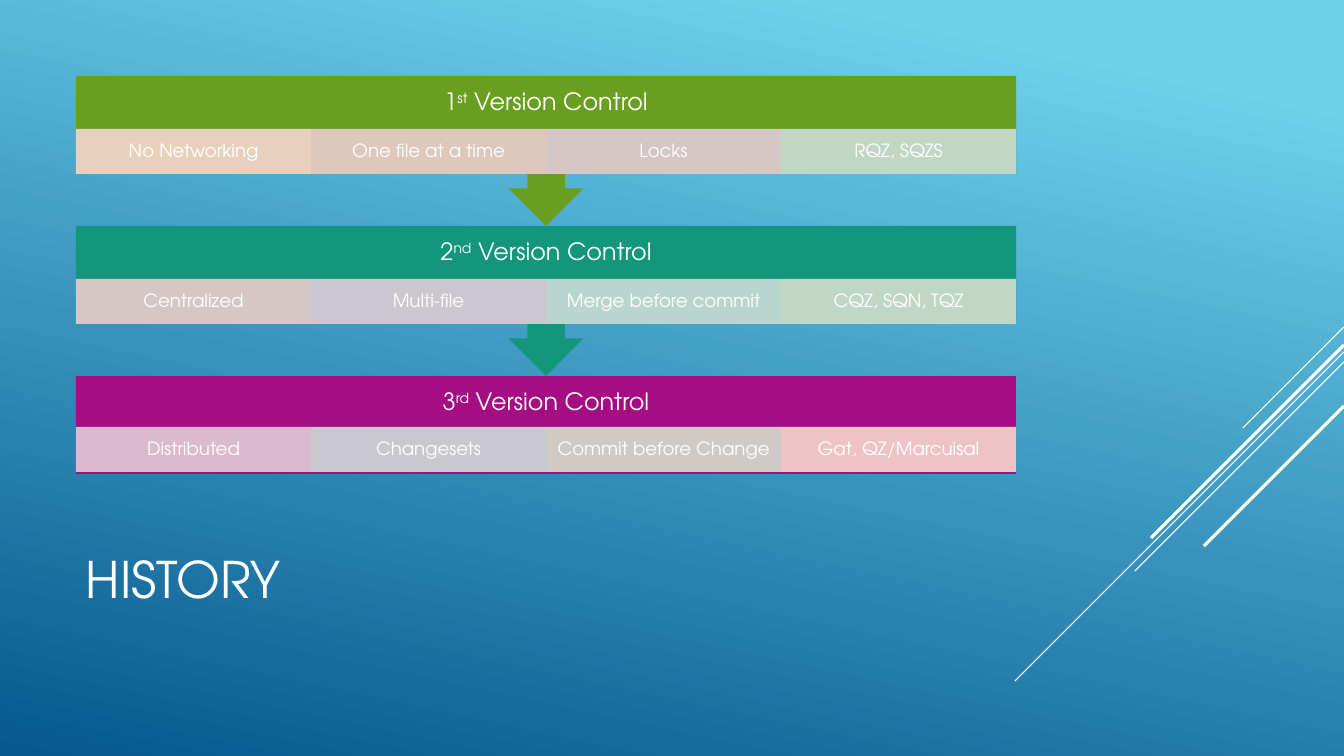
"""Build the version control history slide."""
from dataclasses import dataclass

from lxml import etree
from pptx import Presentation
from pptx.dml.color import RGBColor
from pptx.enum.shapes import MSO_CONNECTOR, MSO_SHAPE
from pptx.enum.text import MSO_ANCHOR, PP_ALIGN
from pptx.oxml.ns import qn
from pptx.util import Emu, Pt

STRAIGHT = MSO_CONNECTOR.STRAIGHT
RECTANGLE = MSO_SHAPE.RECTANGLE
CALLOUT = MSO_SHAPE.DOWN_ARROW_CALLOUT
MIDDLE = MSO_ANCHOR.MIDDLE
LEFT = PP_ALIGN.LEFT
CENTER = PP_ALIGN.CENTER
EMU_PER_PX = 914400 / 100.8


@dataclass(frozen=True)
class Theme:
    font: str = "TeX Gyre Adventor"
    text: str = "FFFFFF"
    sky: str = "6ED2EB"
    deep: str = "06588E"
    bands: tuple = ("6A9E1F", "14967C", "A50E82")
    tints: tuple = ("F6D7CE", "EACDCD", "E1CCD8", "CCDDD7", "D4DFCD")
    title_size: int = 36
    heading_size: int = 17
    cell_size: int = 13


THEME = Theme()
SLIDE_WIDTH, SLIDE_HEIGHT = 1344, 756
BAND_LEFT, BAND_TOP, BAND_WIDTH, BAND_PITCH = 76, 76, 940, 150
LAST_BAND_HEIGHT = 98
HEADING_HEIGHT, CELL_HEIGHT = 53, 45

GENERATIONS = [
    ("1", "st", 53, ["No Networking", "One file at a time", "Locks", "RQZ, SQZS"]),
    ("2", "nd", 53, ["Centralized", "Multi-file", "Merge before commit", "CQZ, SQN, TQZ"]),
    ("3", "rd", 51, ["Distributed", "Changesets", "Commit before Change", "Gat, QZ/Marcuisal"]),
]
DIAGONALS = [(327, 101, 0.75), (352, 329, 0.75), (362, 209, 0.75), (345, 193, 2.25), (406, 140, 2.25)]


def px(*lengths):
    return [Emu(round(length * EMU_PER_PX)) for length in lengths]


def write(box, pieces, size, align, inset_x, inset_y):
    frame = box.text_frame
    frame.word_wrap = True
    frame.vertical_anchor = MIDDLE
    frame.margin_left, frame.margin_right = px(inset_x, inset_x)
    frame.margin_top, frame.margin_bottom = px(inset_y, inset_y)
    para = frame.paragraphs[0]
    para.alignment = align
    para.line_spacing = 0.9
    para.font.name = THEME.font
    para.font.size = Pt(size)
    para.font.color.rgb = RGBColor.from_string(THEME.text)
    for piece in pieces:
        para.add_run().text = piece
    return para


deck = Presentation()
deck.slide_width, deck.slide_height = px(SLIDE_WIDTH, SLIDE_HEIGHT)
page = deck.slides.add_slide(deck.slide_layouts[6])

backdrop = page.background.fill
backdrop.gradient()
backdrop.gradient_angle = 258
for stop, position, colour in zip(backdrop.gradient_stops, (0.1, 1), (THEME.sky, THEME.deep)):
    stop.position = position
    stop.color.rgb = RGBColor.from_string(colour)

for top, reach, weight in DIAGONALS:
    diagonal = page.shapes.add_connector(
        STRAIGHT, *px(SLIDE_WIDTH, top, SLIDE_WIDTH - reach, top + reach))
    diagonal.line.color.rgb = RGBColor.from_string(THEME.text)
    diagonal.line.width = Pt(weight)
    etree.SubElement(diagonal._element.spPr, qn("a:effectLst"))

title = page.shapes.add_textbox(*px(BAND_LEFT, 495, BAND_WIDTH, 166))
write(title, ["HISTORY"], THEME.title_size, LEFT, 10, 5).line_spacing = 1.0

for row, (number, suffix, cell_offset, features) in enumerate(GENERATIONS):
    band_top = BAND_TOP + row * BAND_PITCH
    is_last = row == len(GENERATIONS) - 1
    band = page.shapes.add_shape(
        RECTANGLE if is_last else CALLOUT,
        *px(BAND_LEFT, band_top, BAND_WIDTH, LAST_BAND_HEIGHT if is_last else BAND_PITCH))
    band.shadow.inherit = False
    band.fill.solid()
    band.fill.fore_color.rgb = RGBColor.from_string(THEME.bands[row])
    band.line.fill.background()

    heading = page.shapes.add_textbox(*px(BAND_LEFT, band_top, BAND_WIDTH, HEADING_HEIGHT))
    para = write(heading, [number, suffix, " Version Control"], THEME.heading_size, CENTER, 13, 13)
    para.runs[1]._r.get_or_add_rPr().set("baseline", "30000")

    cell_width = BAND_WIDTH // len(features)
    for column, feature in enumerate(features):
        cell = page.shapes.add_shape(
            RECTANGLE,
            *px(BAND_LEFT + column * cell_width, band_top + cell_offset, cell_width, CELL_HEIGHT))
        cell.shadow.inherit = False
        cell.fill.solid()
        tint = THEME.tints[(row + column) % len(THEME.tints)]
        cell.fill.fore_color.rgb = RGBColor.from_string(tint)
        tint_element = cell._element.spPr.find(qn("a:solidFill")).find(qn("a:srgbClr"))
        etree.SubElement(tint_element, qn("a:alpha"), val="90000")
        cell.line.fill.background()
        write(cell, [feature], THEME.cell_size, CENTER, 10, 2)

deck.save("out.pptx")
